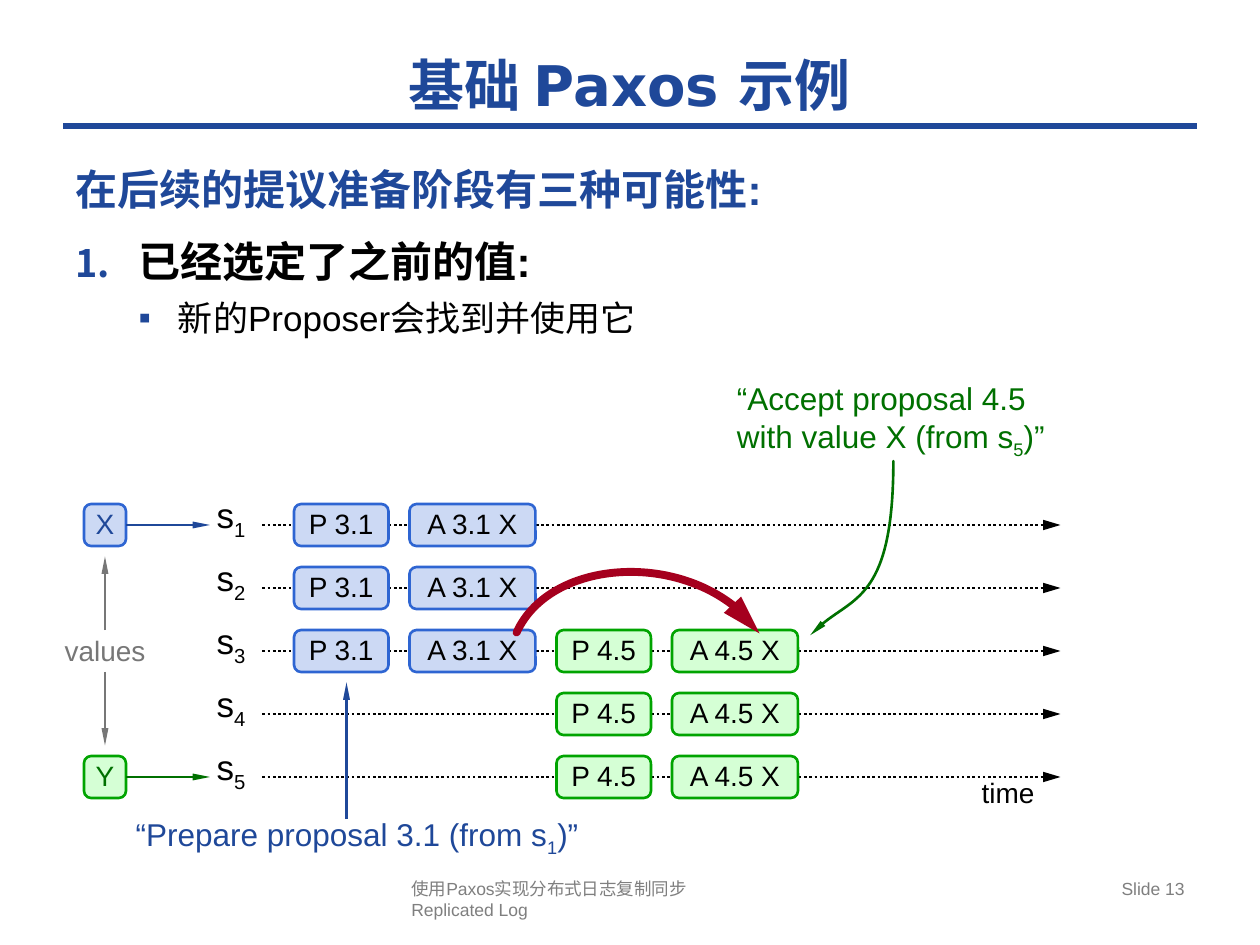
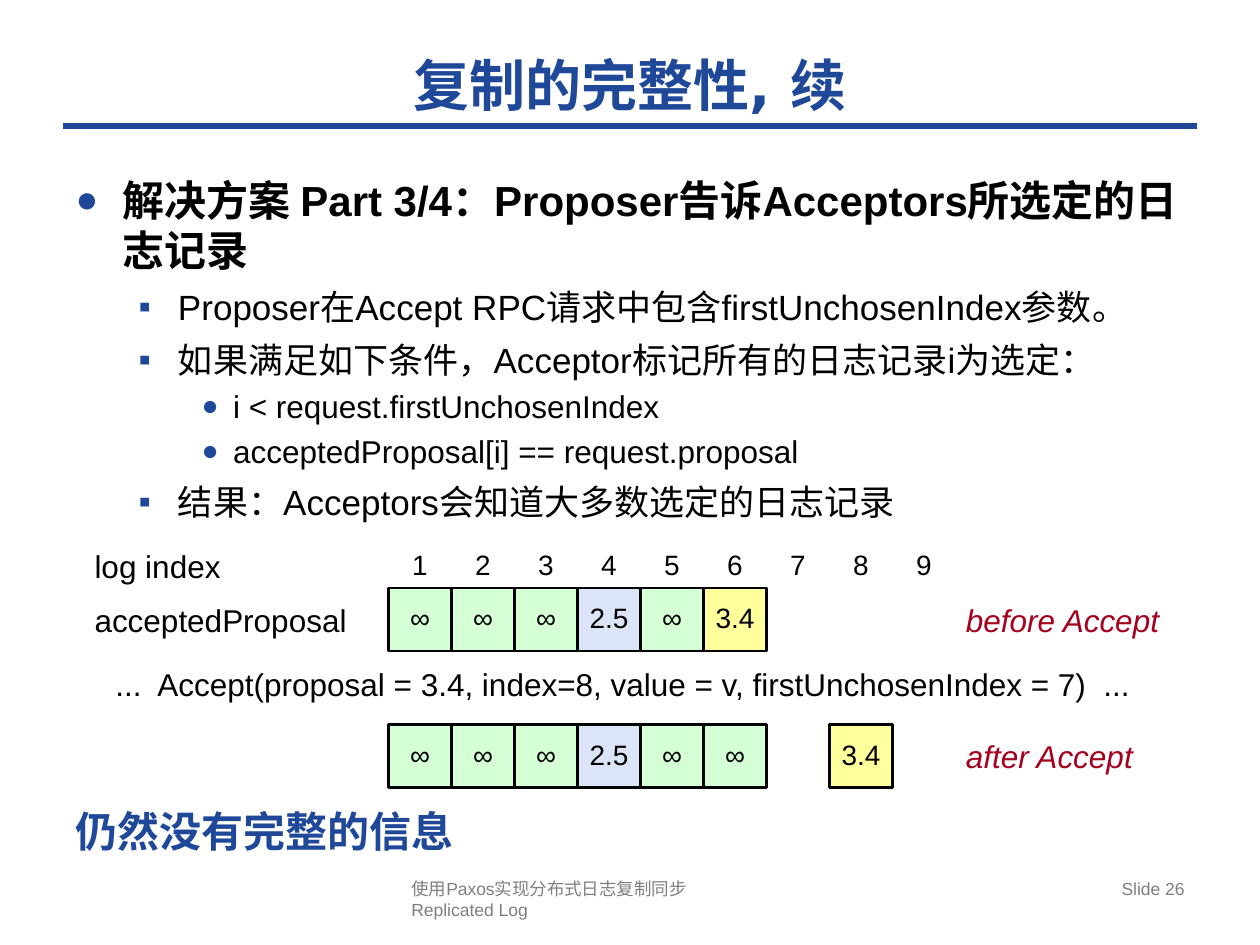
"""Build two slides on Paxos proposals and log replication."""
from dataclasses import dataclass

from lxml import etree
from pptx import Presentation
from pptx.dml.color import RGBColor
from pptx.enum.dml import MSO_LINE
from pptx.enum.shapes import MSO_CONNECTOR, MSO_SHAPE
from pptx.enum.text import MSO_ANCHOR, MSO_AUTO_SIZE, PP_ALIGN
from pptx.oxml.ns import qn
from pptx.util import Pt

LEFT, CENTER, RIGHT = PP_ALIGN.LEFT, PP_ALIGN.CENTER, PP_ALIGN.RIGHT
TOP, MIDDLE = MSO_ANCHOR.TOP, MSO_ANCHOR.MIDDLE
NO_FIT = MSO_AUTO_SIZE.NONE
STRAIGHT = MSO_CONNECTOR.STRAIGHT
RECT, ROUNDED = MSO_SHAPE.RECTANGLE, MSO_SHAPE.ROUNDED_RECTANGLE
DOTTED = MSO_LINE.ROUND_DOT

BLACK, GRAY, FOOTER_GRAY = "000000", "777777", "7F7F7F"
NAVY, FOREST, CRIMSON = "1F4899", "007000", "A5001E"
BLUE_FILL, BLUE_EDGE = "CCD9F4", "2E65D2"
GREEN_FILL, GREEN_EDGE = "D5FFD5", "00A400"
PALE_BLUE, YELLOW = "DCE5F8", "FFFF9B"
BODY_FACE, TITLE_FACE = "Arial", "DejaVu Sans"


@dataclass(frozen=True)
class Area:
    left: float
    top: float
    width: float
    height: float

    def lengths(self):
        return [Pt(v) for v in (self.left, self.top, self.width, self.height)]


@dataclass(frozen=True)
class Bullet:
    margin: float
    hang: float
    tag: str
    attribute: str
    value: str
    percent: int = 100


@dataclass(frozen=True)
class Item:
    text: str
    level: int = 0
    bullet: Bullet | None = None
    size: float = 24
    before: float = 12
    color: str = BLACK


@dataclass(frozen=True)
class Paint:
    fill: str
    edge: str


@dataclass(frozen=True)
class Proposal:
    number: str
    left: float
    servers: range
    paint: Paint


NUMBER = Bullet(36, 36, "a:buAutoNum", "type", "arabicPeriod", 90)
DISC = Bullet(27, 27, "a:buChar", "char", "●", 90)
SQUARE = Bullet(58.5, 22.5, "a:buChar", "char", "▪")
SMALL_DISC = Bullet(90, 18, "a:buChar", "char", "●", 90)
BLUE, GREEN = Paint(BLUE_FILL, BLUE_EDGE), Paint(GREEN_FILL, GREEN_EDGE)
CHOSEN, OPEN, RECENT = (Paint(f, BLACK) for f in (GREEN_FILL, PALE_BLUE, YELLOW))


def rgb(value: str) -> RGBColor:
    return RGBColor.from_string(value)


def write(para, text: str, color: str, size: float, **values) -> None:
    formats = {"name": BODY_FACE, "size": Pt(size), **values}
    for part, chunk in enumerate(text.split("|")):
        for row, line in enumerate(chunk.split("\n")):
            if row:
                para.add_line_break()
            if not line:
                continue
            span = para.add_run()
            span.text = line
            for name, value in formats.items():
                setattr(span.font, name, value)
            span.font.color.rgb = rgb(color)
            if part % 2:
                span.font._element.set("baseline", "-25000")


def prepare(frame, anchor, inset: bool = False) -> None:
    side, edge = (Pt(7.2), Pt(3.6)) if inset else (0, 0)
    values = {"word_wrap": True, "auto_size": NO_FIT, "vertical_anchor": anchor,
              "margin_left": side, "margin_right": side,
              "margin_top": edge, "margin_bottom": edge}
    for name, value in values.items():
        setattr(frame, name, value)


def add_text(page, area: Area, text: str, color: str = BLACK, size: float = 18,
             align=LEFT, inset: bool = False, **values) -> None:
    frame = page.shapes.add_textbox(*area.lengths()).text_frame
    prepare(frame, TOP, inset)
    frame.paragraphs[0].alignment = align
    write(frame.paragraphs[0], text, color, size, **values)


def add_box(page, kind, area: Area, text: str, paint: Paint,
            color: str = BLACK) -> None:
    box = page.shapes.add_shape(kind, *area.lengths())
    box.shadow.inherit = False
    box.fill.solid()
    box.fill.fore_color.rgb = rgb(paint.fill)
    box.line.color.rgb = rgb(paint.edge)
    box.line.width = Pt(1.5)
    prepare(box.text_frame, MIDDLE)
    para = box.text_frame.paragraphs[0]
    para.alignment, para.line_spacing = CENTER, Pt(17)
    write(para, text, color, 16)


def style_line(shape, color: str, width: float, head: str = "", dash=None) -> None:
    shape.line.color.rgb = rgb(color)
    shape.line.width = Pt(width)
    if dash:
        shape.line.dash_style = dash
    if head:
        etree.SubElement(shape.line._get_or_add_ln(), qn("a:tailEnd"),
                         type="triangle", w=head, len="lg")


def add_line(page, start: tuple, end: tuple, color: str, width: float = 1.5,
             head: str = "sm", dash=None):
    points = [Pt(v) for v in (*start, *end)]
    line = page.shapes.add_connector(STRAIGHT, *points)
    style_line(line, color, width, head, dash)
    etree.SubElement(line._element.spPr, qn("a:effectLst"))
    return line


def add_curve(page, points: list[tuple], color: str, width: float, head: str) -> None:
    start, *rest = [(Pt(x), Pt(y)) for x, y in points]
    builder = page.shapes.build_freeform(*start)
    builder.add_line_segments(rest, close=False)
    curve = builder.convert_to_shape()
    curve.shadow.inherit = False
    curve.fill.background()
    style_line(curve, color, width, head)
    curve.line._get_or_add_ln().set("cap", "rnd")
    segments = curve._element.xpath(".//a:lnTo")
    outline = segments[0].getparent()
    bezier = etree.SubElement(outline, qn("a:cubicBezTo"))
    for segment in segments:
        bezier.append(segment[0])
        outline.remove(segment)


def set_bullet(para, bullet: Bullet | None) -> None:
    properties = para._p.get_or_add_pPr()
    properties.set("marL", str(Pt(bullet.margin if bullet else 0)))
    properties.set("indent", str(Pt(-bullet.hang if bullet else 0)))
    if not bullet:
        etree.SubElement(properties, qn("a:buNone"))
        return
    tint = etree.SubElement(properties, qn("a:buClr"))
    etree.SubElement(tint, qn("a:srgbClr"), val=NAVY)
    etree.SubElement(properties, qn("a:buSzPct"), val=str(bullet.percent * 1000))
    etree.SubElement(properties, qn("a:buFont"), typeface=BODY_FACE)
    etree.SubElement(properties, qn(bullet.tag)).set(bullet.attribute, bullet.value)


def place(holder, area: Area, anchor):
    names = ("left", "top", "width", "height")
    for name, value in zip(names, area.lengths()):
        setattr(holder, name, value)
    prepare(holder.text_frame, anchor, inset=True)
    return holder.text_frame


def add_page(deck, title: str, number: int, area: Area, items: list[Item]):
    page = deck.slides.add_slide(deck.slide_layouts[1])
    heading = place(page.shapes.title, Area(36, 24, 648, 48), MIDDLE).paragraphs[0]
    heading.alignment = CENTER
    write(heading, title, NAVY, 32, name=TITLE_FACE, bold=True)
    frame = place(page.placeholders[1], area, TOP)
    for index, item in enumerate(items):
        para = frame.add_paragraph() if index else frame.paragraphs[0]
        para.level, para.space_before = item.level, Pt(item.before)
        set_bullet(para, item.bullet)
        write(para, item.text, item.color, item.size, bold=item.level == 0)
    add_text(page, Area(228, 498, 270, 31), "使用Paxos实现分布式日志复制同步\nReplicated Log",
             FOOTER_GRAY, 10, inset=True)
    add_text(page, Area(516, 498, 168, 31), f"Slide {number}", FOOTER_GRAY, 10,
             RIGHT, inset=True)
    return page


def point(text: str, before: float = 6) -> Item:
    return Item(text, 1, SQUARE, 20, before)


def condition(text: str) -> Item:
    return Item(text, 2, SMALL_DISC, 18, 4)


def build_example(deck):
    page = add_page(deck, "基础 Paxos 示例", 13, Area(36, 90, 648, 120), [
        Item("在后续的提议准备阶段有三种可能性:", color=NAVY),
        Item("已经选定了之前的值:", bullet=NUMBER),
        point("新的Proposer会找到并使用它")])
    first, step = 300, 36
    for server in range(5):
        middle = first + server * step
        add_line(page, (150, middle), (606, middle), BLACK, head="med", dash=DOTTED)
        add_text(page, Area(114, middle - 18, 36, 24), f"s|{server + 1}|", size=20,
                 align=CENTER)
    add_text(page, Area(552, 443, 48, 19), "time", size=16, align=CENTER)
    proposals = [Proposal("3.1", 168, range(0, 3), BLUE),
                 Proposal("4.5", 318, range(2, 5), GREEN)]
    for proposal in proposals:
        for server in proposal.servers:
            top = first + server * step - 12
            add_box(page, ROUNDED, Area(proposal.left, top, 54, 24),
                    f"P {proposal.number}", proposal.paint)
            add_box(page, ROUNDED, Area(proposal.left + 66, top, 72, 24),
                    f"A {proposal.number} X", proposal.paint)
    for name, middle, paint, color in (("X", 300, BLUE, NAVY),
                                       ("Y", 444, GREEN, FOREST)):
        add_box(page, ROUNDED, Area(48, middle - 12, 24, 24), name, paint, color)
        add_line(page, (72, middle), (120, middle), color)
    add_text(page, Area(30, 362, 60, 19), "values", GRAY, 16, CENTER)
    for start, end in ((360, 318), (384, 426)):
        add_line(page, (60, start), (60, end), GRAY)
    add_text(page, Area(60, 462, 288, 29), "“Prepare proposal 3.1 (from s|1|)”", NAVY,
             align=CENTER, inset=True)
    add_line(page, (198, 468), (198, 390), NAVY)
    add_text(page, Area(414, 213, 192, 51),
             "“Accept proposal 4.5\nwith value X (from s|5|)”", FOREST, inset=True)
    add_curve(page, [(295.2, 361.5), (313, 322), (400.5, 312.5), (434, 362)],
              CRIMSON, 4.5, "med")
    add_curve(page, [(510.5, 263.5), (510.5, 340.5), (482.5, 342.5), (463, 363)],
              FOREST, 1.5, "sm")
    return page


def build_replication(deck) -> None:
    page = add_page(deck, "复制的完整性, 续", 26, Area(36, 96, 648, 210), [
        Item("解决方案 Part 3/4：Proposer告诉Acceptors所选定的日志记录", bullet=DISC),
        point("Proposer在Accept RPC请求中包含firstUnchosenIndex参数。"),
        point("如果满足如下条件，Acceptor标记所有的日志记录i为选定："),
        condition("i < request.firstUnchosenIndex"),
        condition("acceptedProposal[i] == request.proposal"),
        point("结果：Acceptors会知道大多数选定的日志记录"),
        Item("仍然没有完整的信息", before=162, color=NAVY)])
    origin, cell = 222, 36
    for index in range(9):
        add_text(page, Area(origin + index * cell, 309.5, cell, 27), str(index + 1),
                 size=16, align=CENTER, inset=True)
    paints = {"∞": CHOSEN, "2.5": OPEN, "3.4": RECENT}
    rows = [(336, "before Accept", ["∞", "∞", "∞", "2.5", "∞", "3.4"]),
            (414, "after Accept", ["∞", "∞", "∞", "2.5", "∞", "∞", "", "3.4"])]
    for top, caption, entries in rows:
        for index, entry in enumerate(entries):
            if entry:
                add_box(page, RECT, Area(origin + index * cell, top, cell, cell),
                        entry, paints[entry])
        add_text(page, Area(552, top + 7.2, 138, 21.6), caption, CRIMSON, italic=True)
    add_text(page, Area(54, 312.5, 90, 21.6), "log index")
    add_text(page, Area(54, 343.2, 156, 21.6), "acceptedProposal")
    add_text(page, Area(66, 380.2, 618, 21.6),
             "...  Accept(proposal = 3.4, index=8, value = v, firstUnchosenIndex = 7)  ...")


def main() -> None:
    deck = Presentation()
    deck.slide_width, deck.slide_height = Pt(720), Pt(540)
    page = build_example(deck)
    rule = add_line(page, (36, 72), (684, 72), NAVY, 4, head="")
    page.slide_layout.shapes._spTree.append(rule._element)
    build_replication(deck)
    deck.save("out.pptx")


main()
